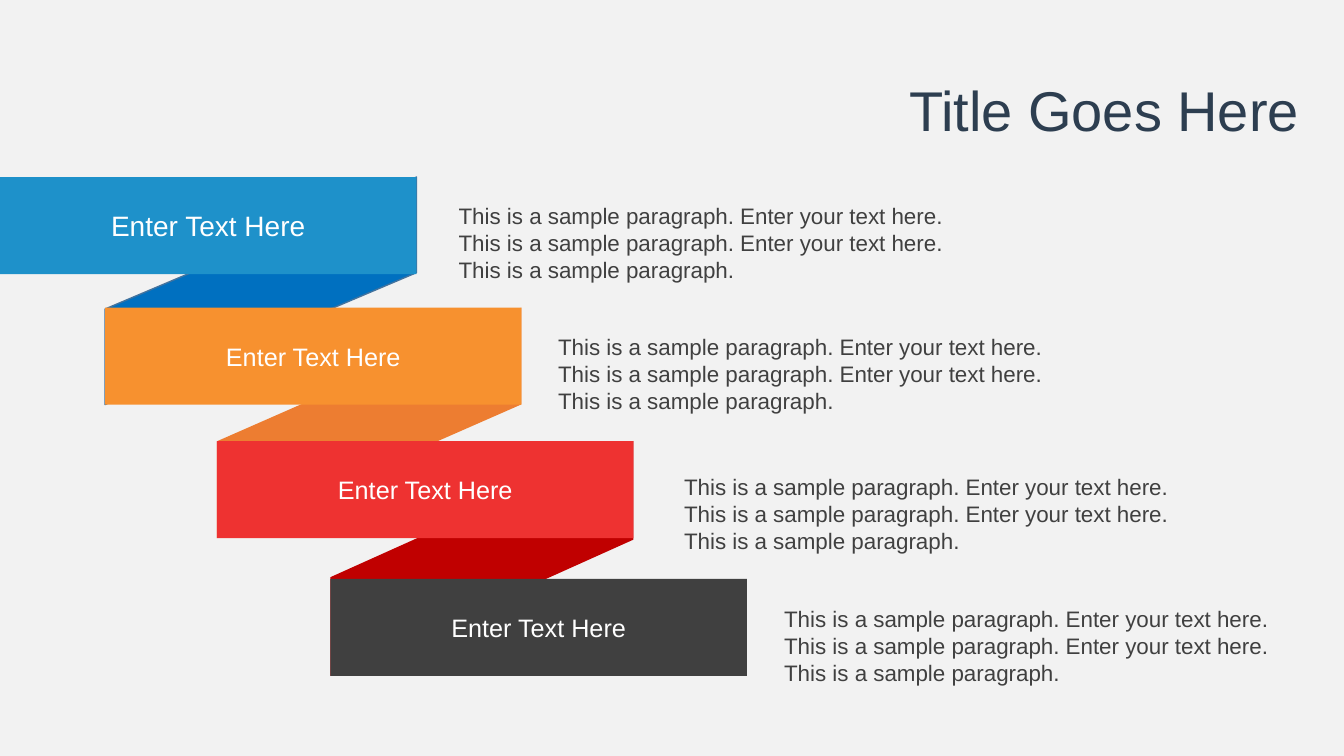
from dataclasses import dataclass
from itertools import pairwise
from typing import Optional

from pptx import Presentation
from pptx.dml.color import RGBColor
from pptx.enum.shapes import MSO_SHAPE
from pptx.enum.text import MSO_ANCHOR, MSO_AUTO_SIZE, PP_ALIGN
from pptx.slide import Slide
from pptx.text.text import TextFrame
from pptx.util import Pt


@dataclass(frozen=True)
class Theme:
    font: str = "Arial"
    background: str = "F2F2F2"
    title: str = "2D3E50"
    label: str = "FFFFFF"
    body: str = "404040"
    title_size: float = 40
    body_size: float = 16


@dataclass(frozen=True)
class Step:
    left: float
    top: float
    color: str
    note_left: float
    note_top: float
    label_size: float = 18
    fold_color: str = ""
    fold_line: Optional[str] = None


THEME = Theme()
BAND_W, BAND_H = 297.5, 69.3
NOTE_W, NOTE_H = 389.5, 93
FOLD_SLANT = 0.58
LABEL = "Enter Text Here"
NOTE = (
    "This is a sample paragraph. Enter your text here. "
    "This is a sample paragraph. Enter your text here. "
    "This is a sample paragraph."
)
STEPS = [
    Step(0, 126.5, "1E91CA", 320.5, 126.5, 20, "0070C0", "43739E"),
    Step(75, 219.7, "F7912F", 391.5, 220.5, fold_color="ED7D31"),
    Step(155, 315, "EE3231", 481.5, 320.5, fold_color="C00000"),
    Step(236, 413.5, "404040", 553, 414.5),
]


def write(tf: TextFrame, text: str, size: float, color: str, align: PP_ALIGN) -> None:
    tf.word_wrap = True
    tf.auto_size = MSO_AUTO_SIZE.NONE
    tf.vertical_anchor = MSO_ANCHOR.MIDDLE
    p = tf.paragraphs[0]
    p.alignment = align
    r = p.add_run()
    r.text = text
    r.font.name = THEME.font
    r.font.size = Pt(size)
    r.font.color.rgb = RGBColor.from_string(color)


def add_title(slide: Slide, text: str) -> None:
    sp = slide.shapes.title
    sp.left, sp.top, sp.width, sp.height = Pt(606), Pt(60.5), Pt(329), Pt(35)
    write(sp.text_frame, text, THEME.title_size, THEME.title, PP_ALIGN.RIGHT)


def add_fold(slide: Slide, upper: Step, lower: Step) -> None:
    span = upper.left + BAND_W - lower.left
    drop = lower.top + BAND_H - upper.top
    left = lower.left + (span - drop) / 2
    top = upper.top + (drop - span) / 2
    sp = slide.shapes.add_shape(
        MSO_SHAPE.PARALLELOGRAM, Pt(left), Pt(top), Pt(drop), Pt(span)
    )
    sp.adjustments[0] = FOLD_SLANT
    sp.rotation = 270
    sp.element.spPr.xfrm.set("flipV", "1")
    sp.shadow.inherit = False
    sp.fill.solid()
    sp.fill.fore_color.rgb = RGBColor.from_string(upper.fold_color)
    if upper.fold_line:
        sp.line.color.rgb = RGBColor.from_string(upper.fold_line)
        sp.line.width = Pt(1)
    else:
        sp.line.fill.background()


def add_band(slide: Slide, step: Step) -> None:
    sp = slide.shapes.add_shape(
        MSO_SHAPE.RECTANGLE, Pt(step.left), Pt(step.top), Pt(BAND_W), Pt(BAND_H)
    )
    sp.shadow.inherit = False
    sp.fill.solid()
    sp.fill.fore_color.rgb = RGBColor.from_string(step.color)
    sp.line.fill.background()
    write(sp.text_frame, LABEL, step.label_size, THEME.label, PP_ALIGN.CENTER)


def add_note(slide: Slide, step: Step) -> None:
    sp = slide.shapes.add_textbox(
        Pt(step.note_left), Pt(step.note_top), Pt(NOTE_W), Pt(NOTE_H)
    )
    write(sp.text_frame, NOTE, THEME.body_size, THEME.body, PP_ALIGN.LEFT)


def main() -> None:
    prs = Presentation()
    prs.slide_width, prs.slide_height = Pt(960), Pt(540)
    slide = prs.slides.add_slide(prs.slide_layouts.get_by_name("Title Only"))
    slide.background.fill.solid()
    slide.background.fill.fore_color.rgb = RGBColor.from_string(THEME.background)
    add_title(slide, "Title Goes Here")
    for upper, lower in pairwise(STEPS):
        add_fold(slide, upper, lower)
    for step in STEPS:
        add_band(slide, step)
        add_note(slide, step)
    prs.save("out.pptx")


if __name__ == "__main__":
    main()
